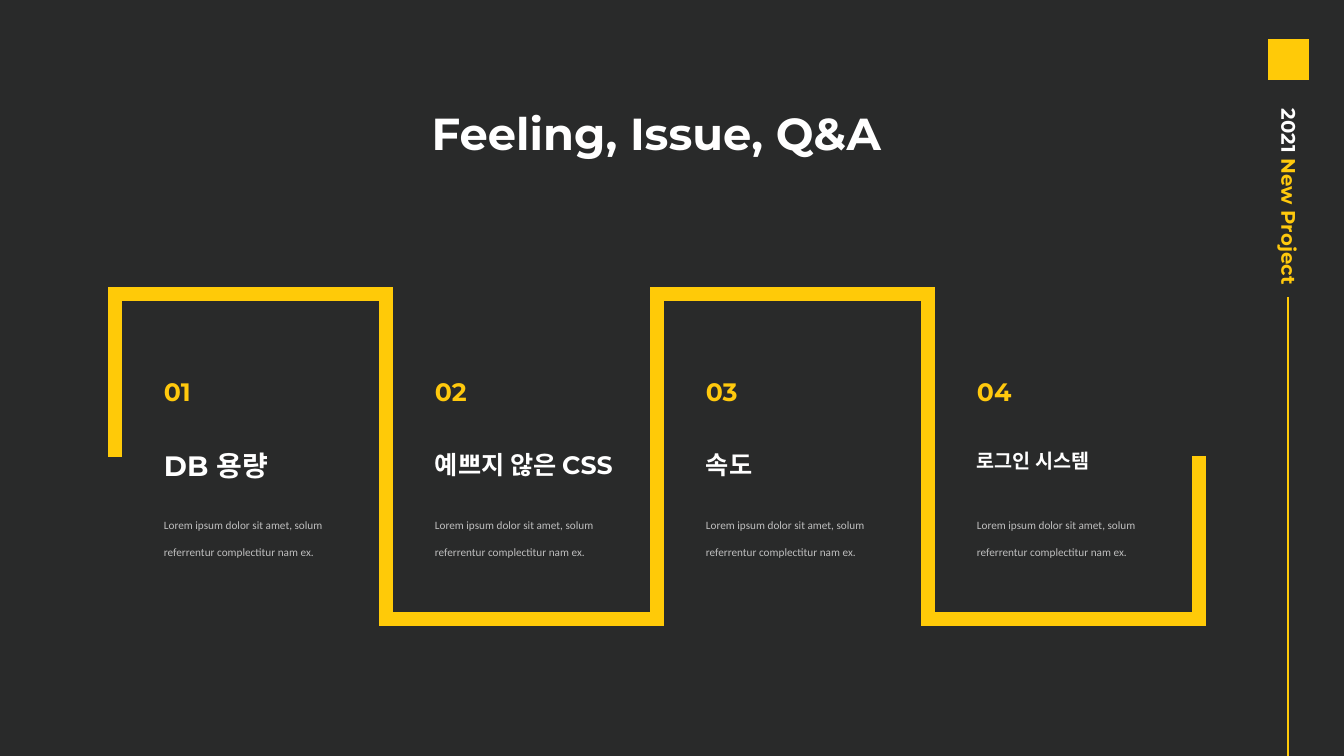
from lxml import etree
from pptx import Presentation
from pptx.dml.color import RGBColor
from pptx.enum.shapes import MSO_CONNECTOR, MSO_SHAPE
from pptx.enum.text import MSO_ANCHOR, MSO_AUTO_SIZE, PP_ALIGN
from pptx.oxml.ns import qn
from pptx.util import Emu, Pt

RECTANGLE = MSO_SHAPE.RECTANGLE
STRAIGHT = MSO_CONNECTOR.STRAIGHT
LEFT, CENTER = PP_ALIGN.LEFT, PP_ALIGN.CENTER
TOP = MSO_ANCHOR.TOP
GROW = MSO_AUTO_SIZE.SHAPE_TO_FIT_TEXT

SLIDE_WIDTH, SLIDE_HEIGHT = 1344, 756
EMU_PER_PX = 914400 / 100.8

ISSUES = [("DB 용량", 20), ("예쁘지 않은 CSS", 18), ("속도", 18), ("로그인 시스템", 14)]
DETAIL = "Lorem ipsum dolor sit amet, solum referrentur complectitur nam ex."


def px(length):
    return Emu(round(length * EMU_PER_PX))


def color(value):
    return RGBColor.from_string(value)


class Deck:
    BACKGROUND = "292A2A"
    YELLOW = "FFCA08"
    TEXT_YELLOW = "FFC90D"
    WHITE = "FFFFFF"
    GRAY = "BFBFBF"
    HEADING_FONT = "Montserrat"
    BODY_FONT = "Calibri"

    def __init__(self):
        self.presentation = Presentation()
        self.presentation.slide_width = px(SLIDE_WIDTH)
        self.presentation.slide_height = px(SLIDE_HEIGHT)
        self.slide = self.presentation.slides.add_slide(self.presentation.slide_layouts[6])
        fill = self.slide.background.fill
        fill.solid()
        fill.fore_color.rgb = color(self.BACKGROUND)

    def text(self, left, top, width, height, runs, size, font=HEADING_FONT,
             bold=True, align=LEFT, spacing=1.0, rotation=0):
        """Add one paragraph made of (text, colour) runs."""
        shape = self.slide.shapes.add_textbox(px(left), px(top), px(width), px(height))
        shape.rotation = rotation
        frame = shape.text_frame
        frame.word_wrap = True
        frame.auto_size = GROW
        frame.vertical_anchor = TOP
        paragraph = frame.paragraphs[0]
        paragraph.alignment = align
        paragraph.line_spacing = spacing
        paragraph.font.name = font
        paragraph.font.size = Pt(size)
        paragraph.font.bold = bold
        for words, run_color in runs:
            run = paragraph.add_run()
            run.text = words
            run.font.color.rgb = color(run_color)

    def square(self, left, top, side):
        shape = self.slide.shapes.add_shape(RECTANGLE, px(left), px(top), px(side), px(side))
        shape.shadow.inherit = False
        shape.fill.solid()
        shape.fill.fore_color.rgb = color(self.YELLOW)
        shape.line.fill.background()

    def line(self, start_x, start_y, end_x, end_y):
        connector = self.slide.shapes.add_connector(
            STRAIGHT, px(start_x), px(start_y), px(end_x), px(end_y))
        connector.line.color.rgb = color(self.YELLOW)
        connector.line.width = Pt(1)
        etree.SubElement(connector.element.spPr, qn("a:effectLst"))

    def bracket(self, left, right, open_y, closed_y):
        """Draw three sides of a box, open at open_y."""
        builder = self.slide.shapes.build_freeform(left, open_y, scale=EMU_PER_PX)
        builder.add_line_segments(
            [(left, closed_y), (right, closed_y), (right, open_y)], close=False)
        shape = builder.convert_to_shape()
        shape.shadow.inherit = False
        shape.fill.background()
        shape.line.color.rgb = color(self.YELLOW)
        shape.line.width = Pt(10)
        outline = shape.element.spPr.find(qn("a:ln"))
        etree.SubElement(outline, qn("a:miter"), lim="800000")


def main():
    deck = Deck()

    # Title
    deck.text(98, 101, 1117, 87, [("Feeling, Issue, Q&A", deck.WHITE)], 32, align=CENTER)

    # Side banner
    deck.square(1268, 39, 41)
    deck.text(980, 391, 618, 34,
              [("2021 ", deck.WHITE), ("New Project", deck.TEXT_YELLOW)], 14, rotation=90)
    deck.line(1288, 297, 1288, SLIDE_HEIGHT)

    # Winding path and the four issues
    path_left, step, text_indent = 114, 271, 40
    for index, (issue, size) in enumerate(ISSUES):
        left = path_left + index * step
        open_y, closed_y = (456, 619) if index % 2 else (457, 294)
        deck.bracket(left + 1, left + 1 + step, open_y, closed_y)

        text_left = left + text_indent
        deck.text(text_left, 371, 201, 40, [(f"{index + 1:02}", deck.TEXT_YELLOW)], 18)
        deck.text(text_left, 500, 223, 60, [(DETAIL, deck.GRAY)], 8,
                  font=deck.BODY_FONT, bold=False, spacing=2.0)
        deck.text(text_left, 444, 287, 40, [(issue, deck.WHITE)], size)

    deck.presentation.save("out.pptx")


if __name__ == "__main__":
    main()
